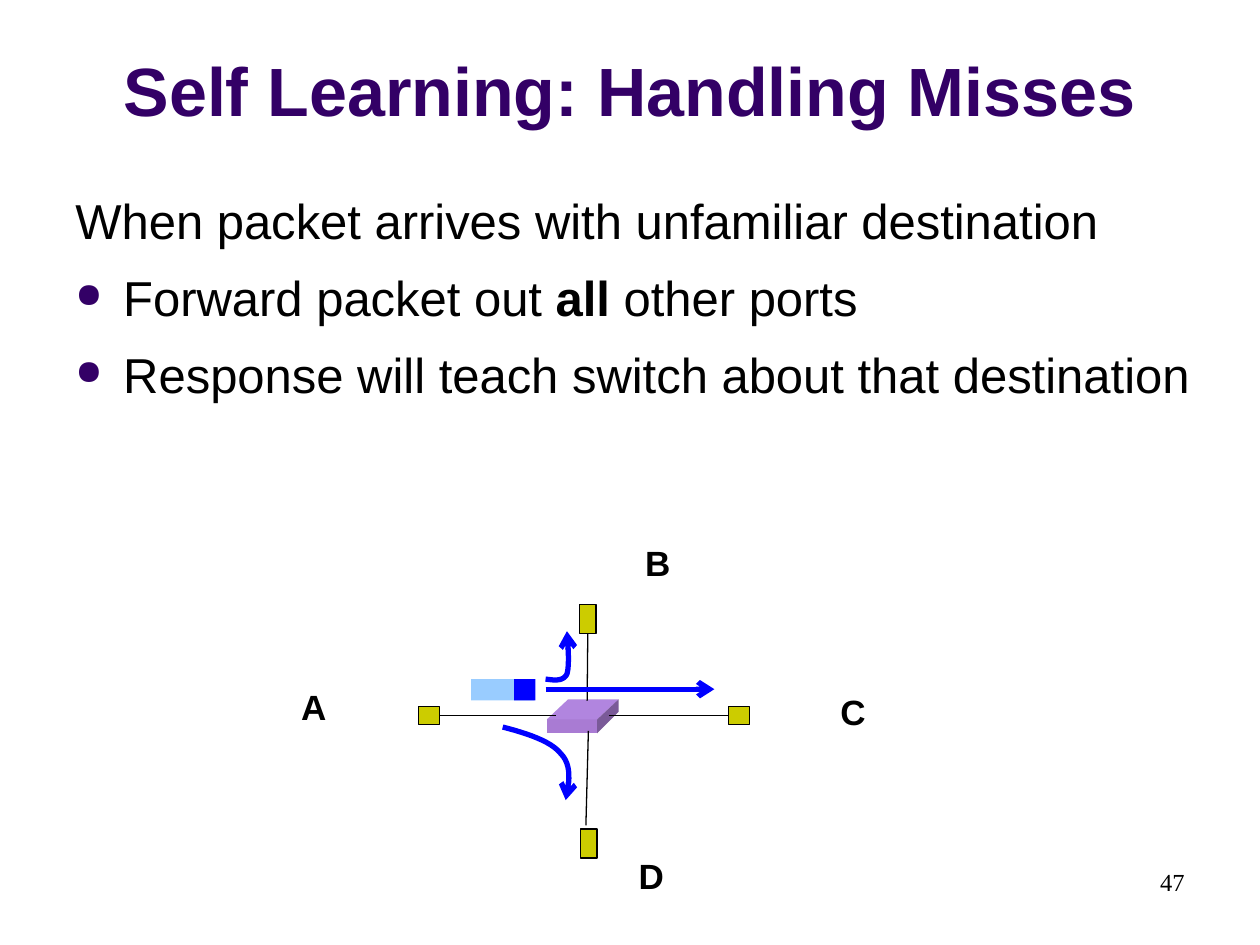
"""Build the slide on how a self-learning switch handles misses."""
from dataclasses import dataclass

from lxml import etree
from pptx import Presentation
from pptx import util as u
from pptx.dml.color import RGBColor
from pptx.enum import shapes, text
from pptx.oxml import ns


@dataclass(frozen=True)
class Theme:
    title: str = "330066"
    ink: str = "000000"
    node: str = "CCCC00"
    flow: str = "0000FF"
    payload: str = "99CCFF"
    switch_top: str = "B185DF"
    switch_front: str = "A97BD3"
    switch_side: str = "7A5A98"
    sans: str = "Arial"
    serif: str = "Times New Roman"
    title_size: int = 39
    body_size: int = 28
    label_size: int = 20
    number_size: int = 14


T = Theme()
In = u.Inches
prs = Presentation()
prs.slide_width, prs.slide_height = In(10), In(7.5)
s = prs.slides.add_slide(prs.slide_layouts[6])


def add_text(box, paragraphs, size, color=T.ink, font=T.sans, bold=False, **fmt):
    """Add a text box whose paragraphs are lists of (text, bold) runs."""
    tf = s.shapes.add_textbox(*map(In, box)).text_frame
    for name, value in {"word_wrap": True, **fmt}.items():
        setattr(tf, name, value)
    for i, runs in enumerate(paragraphs):
        p = tf.paragraphs[0] if i == 0 else tf.add_paragraph()
        for words, strong in runs:
            r = p.add_run()
            r.text = words
            look = {"size": u.Pt(size), "name": font, "bold": bold or strong}
            for name, value in look.items():
                setattr(r.font, name, value)
            r.font.color.rgb = RGBColor.from_string(color)
    return tf


def style(sp, fill=None, line=None, width=0.75, arrow=False):
    """Set fill, line and arrowhead, and take the shadow away."""
    if hasattr(sp, "fill"):
        sp.shadow.inherit = False
        if fill:
            sp.fill.solid()
            sp.fill.fore_color.rgb = RGBColor.from_string(fill)
        else:
            sp.fill.background()
    if line:
        sp.line.color.rgb = RGBColor.from_string(line)
        sp.line.width = u.Pt(width)
    else:
        sp.line.fill.background()
    if arrow:
        etree.SubElement(sp.line._get_or_add_ln(), ns.qn("a:tailEnd"), type="arrow")
    if not hasattr(sp, "fill"):
        etree.SubElement(sp._element.spPr, ns.qn("a:effectLst"))


tf = add_text((0, 0.13, 10, 0.95), [[("Self Learning: Handling Misses", False)]],
              T.title_size, T.title, bold=True, vertical_anchor=text.MSO_ANCHOR.BOTTOM)
tf.paragraphs[0].alignment = text.PP_ALIGN.CENTER

tf = add_text((0.5, 1.42, 9.33, 5.29), [
    [("When packet arrives with unfamiliar destination", False)],
    [("Forward packet out ", False), ("all ", True), ("other ports", False)],
    [("Response will teach switch about that destination", False)],
], T.body_size)
for p in tf.paragraphs:
    p.line_spacing = 1.1
for p in tf.paragraphs[1:]:
    p.space_before = u.Pt(7)
    pPr = p._p.get_or_add_pPr()
    pPr.set("marL", str(In(0.38)))
    pPr.set("indent", str(-In(0.38)))
    color = etree.SubElement(pPr, ns.qn("a:buClr"))
    etree.SubElement(color, ns.qn("a:srgbClr"), val=T.title)
    etree.SubElement(pPr, ns.qn("a:buSzPct"), val="70000")
    etree.SubElement(pPr, ns.qn("a:buChar"), char="●")

tf = add_text((7.17, 6.83, 2.33, 0.5), [[("47", False)]], T.number_size, font=T.serif)
tf.paragraphs[0].alignment = text.PP_ALIGN.RIGHT

switch_faces = [
    (T.switch_front, [(4.34, 5.71), (4.74, 5.71), (4.74, 5.82), (4.34, 5.82)]),
    (T.switch_top, [(4.34, 5.71), (4.51, 5.55), (4.91, 5.55), (4.74, 5.71)]),
    (T.switch_side, [(4.74, 5.71), (4.91, 5.55), (4.91, 5.65), (4.74, 5.82)]),
]
for fill, (start, *rest) in switch_faces:
    fb = s.shapes.build_freeform(*map(In, start), scale=1.0)
    fb.add_line_segments([tuple(map(In, point)) for point in rest], close=True)
    style(fb.convert_to_shape(), fill)

nodes = {}
for name, box in {
    "A": (3.32, 5.61, 0.17, 0.14),
    "B": (4.6, 4.8, 0.13, 0.23),
    "C": (5.78, 5.61, 0.17, 0.14),
    "D": (4.61, 6.58, 0.13, 0.23),
}.items():
    nodes[name] = s.shapes.add_shape(shapes.MSO_SHAPE.RECTANGLE, *map(In, box))
    style(nodes[name], T.node, T.ink)

for name, side, start, end in [
    ("A", 3, (3.49, 5.68), (4.41, 5.68)),
    ("B", 2, (4.66, 5.03), (4.66, 5.56)),
    ("C", 1, (5.78, 5.68), (4.83, 5.68)),
    ("D", None, (4.65, 6.55), (4.67, 5.8)),
]:
    link = s.shapes.add_connector(shapes.MSO_CONNECTOR.STRAIGHT, *map(In, start + end))
    if side is not None:
        link.begin_connect(nodes[name], side)
    style(link, line=T.ink)

for name, left, top in [("A", 2.29, 5.39), ("B", 5.02, 4.25),
                        ("C", 6.57, 5.43), ("D", 4.97, 6.73)]:
    tf = add_text((left, top, 0.4, 0.43), [[(name, False)]], T.label_size, bold=True,
                  auto_size=text.MSO_AUTO_SIZE.SHAPE_TO_FIT_TEXT)
    tf.paragraphs[0].alignment = text.PP_ALIGN.CENTER

for left, width, fill in [(3.74, 0.5, T.payload), (4.08, 0.17, T.flow)]:
    sp = s.shapes.add_shape(shapes.MSO_SHAPE.RECTANGLE,
                            *map(In, (left, 5.39, width, 0.17)))
    style(sp, fill)

steps = 12
for curve in [
    [(4.33, 5.39), (4.4, 5.4), (4.47, 5.41), (4.5, 5.35),
     (4.52, 5.28), (4.51, 5.15), (4.5, 5.01)],
    [(3.99, 5.77), (4.18, 5.82), (4.37, 5.88), (4.45, 5.98),
     (4.54, 6.07), (4.52, 6.21), (4.49, 6.35)],
]:
    points = []
    for first in (0, 3):
        for step in range(1, steps + 1):
            t = step / steps
            weights = ((1 - t) ** 3, 3 * t * (1 - t) ** 2, 3 * t ** 2 * (1 - t), t ** 3)
            points.append(tuple(
                In(sum(w * c[axis] for w, c in zip(weights, curve[first:first + 4])))
                for axis in (0, 1)))
    fb = s.shapes.build_freeform(*map(In, curve[0]), scale=1.0)
    fb.add_line_segments(points, close=False)
    style(fb.convert_to_shape(), line=T.flow, width=3, arrow=True)

flow = s.shapes.add_connector(shapes.MSO_CONNECTOR.STRAIGHT,
                              *map(In, (4.33, 5.47, 5.67, 5.47)))
style(flow, line=T.flow, width=3, arrow=True)

prs.save("out.pptx")
